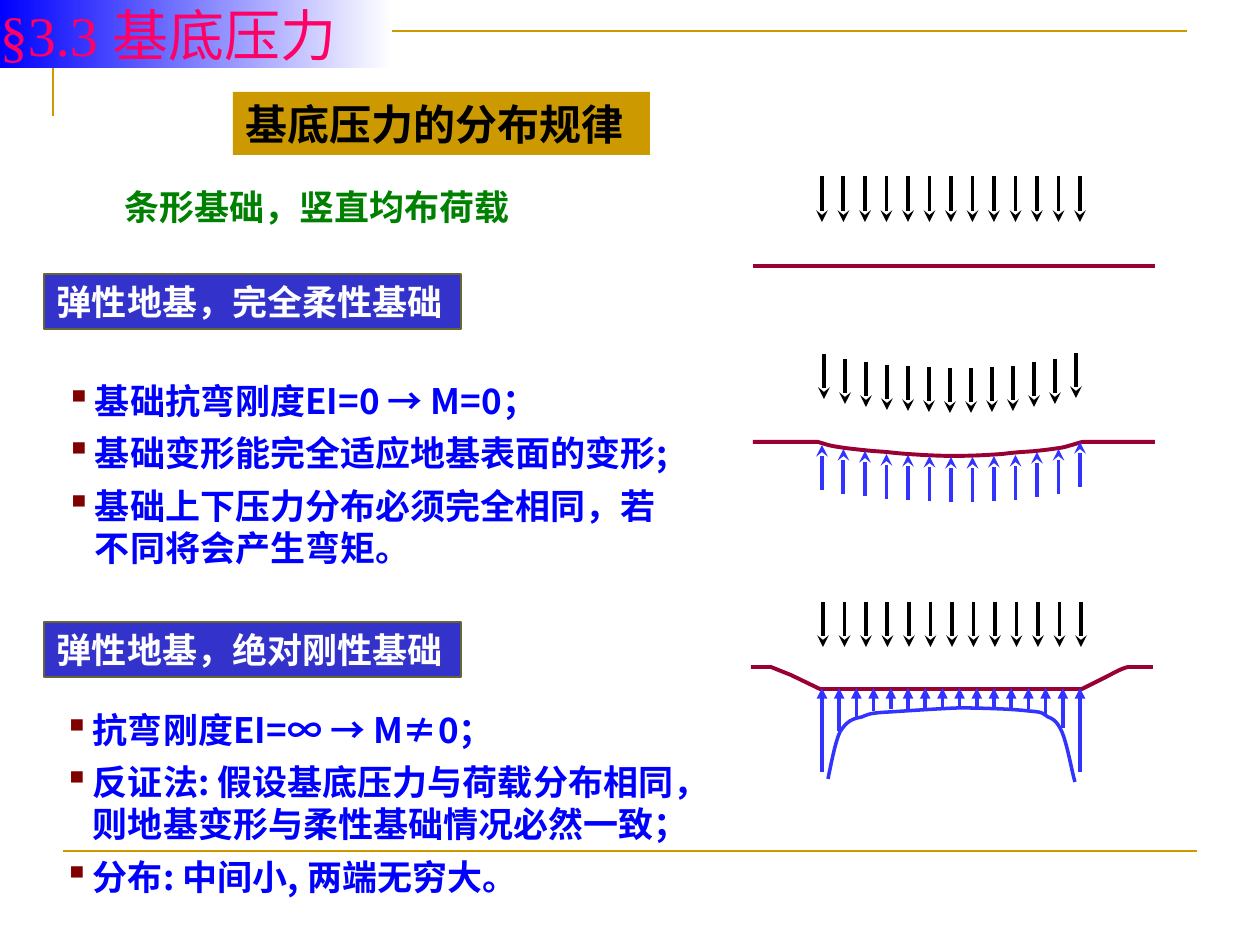
from lxml import etree
from pptx import Presentation
from pptx.dml.color import RGBColor
from pptx.enum.shapes import MSO_CONNECTOR, MSO_SHAPE
from pptx.enum.text import MSO_ANCHOR, PP_ALIGN
from pptx.oxml.ns import qn
from pptx.util import Pt

EMU_PER_PX = 914400 / 126
STRAIGHT = MSO_CONNECTOR.STRAIGHT
RECT = MSO_SHAPE.RECTANGLE
LEFT, CENTER = PP_ALIGN.LEFT, PP_ALIGN.CENTER
MIDDLE, TOP = MSO_ANCHOR.MIDDLE, MSO_ANCHOR.TOP

BLACK = RGBColor(0, 0, 0)
WHITE = RGBColor(255, 255, 255)
GOLD = RGBColor(0xCC, 0x99, 0x00)
INDIGO = RGBColor(0x33, 0x33, 0xCC)
OLIVE = RGBColor(0x66, 0x66, 0x33)
BLUE = RGBColor(0, 0, 255)
PRESSURE_BLUE = RGBColor(0x33, 0x33, 0xFF)
GREEN = RGBColor(0, 0x80, 0)
CRIMSON = RGBColor(0x99, 0, 0x33)
PINK = RGBColor(0xFF, 0, 0x66)

SANS = "Noto Sans CJK SC"
SANS_JP = "Noto Sans CJK JP"
SERIF = "Times New Roman"

ARROWS = 13
ARROW_LENGTH = 45
FLEXIBLE_FOUNDATION = [
    (753, 442), (818, 442), (828, 445),
    (835, 447, 852, 449, 862, 450), (872, 451, 871, 451, 886, 452),
    (901, 454, 934, 456, 953, 456), (973, 456, 989, 455, 1003, 454),
    (1017, 452, 1027, 452, 1036, 451), (1046, 450, 1053, 449, 1060, 448),
    (1066, 447, 1068, 446, 1072, 445), (1082, 442), (1155, 442)]
RIGID_FOUNDATION = [
    (751, 667), (771, 667), (791, 675), (820, 689), (1082, 689),
    (1106, 677), (1114, 673, 1120, 669, 1128, 667), (1153, 667)]
RIGID_PRESSURE = [
    (828, 779), (830, 770, 835, 742, 840, 732),
    (847, 721, 852, 719, 862, 717), (871, 713, 874, 713, 890, 712),
    (906, 711, 934, 709, 958, 708), (980, 708, 1013, 709, 1028, 711),
    (1043, 712, 1042, 713, 1048, 717), (1053, 719, 1057, 721, 1062, 732),
    (1067, 743, 1072, 772, 1075, 782)]
LOAD_TIPS = [399, 404, 407, 410, 411, 412, 413, 413, 412, 411, 407, 404, 398]
REACTION_TIPS = [445, 449, 451, 454, 455, 456, 457, 457, 456, 455, 452, 449, 442]
PRESSURE_TAILS = [772, 731, 717, 711] + [709] * 9 + [714, 728, 772]


def px(value):
    return round(value * EMU_PER_PX)


def flatten(path, steps=8):
    """Turn points and cubic segments (6-tuples) into a plain point list."""
    points = [path[0]]
    for part in path[1:]:
        if len(part) == 2:
            points.append(part)
            continue
        ends = [points[-1], part[:2], part[2:4], part[4:]]
        for i in range(1, steps + 1):
            t = i / steps
            weights = ((1 - t) ** 3, 3 * t * (1 - t) ** 2, 3 * t * t * (1 - t), t ** 3)
            points.append(tuple(sum(w * e[axis] for w, e in zip(weights, ends))
                                for axis in (0, 1)))
    return points


def add_bullet(p, indent):
    pPr = p._p.get_or_add_pPr()
    pPr.set("marL", str(px(indent)))
    pPr.set("indent", str(-px(indent)))
    color = etree.SubElement(pPr, qn("a:buClr"))
    etree.SubElement(color, qn("a:srgbClr"), val="800000")
    etree.SubElement(pPr, qn("a:buChar"), char="▪")


def write(sp, lines, size=20, color=BLACK, font=SANS, east=None, bold=True,
          align=LEFT, anchor=MIDDLE, inset=(0, 0), bullets=False, before=0):
    tf = sp.text_frame
    tf.word_wrap = True
    tf.vertical_anchor = anchor
    tf.margin_left = tf.margin_right = px(inset[0])
    tf.margin_top = tf.margin_bottom = px(inset[1])
    for i, line in enumerate(lines):
        p = tf.add_paragraph() if i else tf.paragraphs[0]
        p.alignment = align
        if i:
            p.space_before = Pt(before)
        if bullets:
            add_bullet(p, 29)
        r = p.add_run()
        r.text = line
        r.font.size, r.font.bold, r.font.name = Pt(size), bold, font
        r.font.color.rgb = color
        etree.SubElement(r._r.get_or_add_rPr(), qn("a:ea"), typeface=east or font)


class Board:
    def __init__(self, slide):
        self.shapes = slide.shapes

    def text(self, x, y, w, h, lines, **style):
        sp = self.shapes.add_textbox(px(x), px(y), px(w), px(h))
        write(sp, lines, **style)

    def box(self, x, y, w, h, line, fill=None, border=None, **style):
        """A rectangle; without a fill colour it fades from blue to white."""
        sp = self.shapes.add_shape(RECT, px(x), px(y), px(w), px(h))
        sp.shadow.inherit = False
        if fill is None:
            sp.fill.gradient()
            sp.fill.gradient_angle = 0
            for stop, color in zip(sp.fill.gradient_stops, (BLUE, WHITE)):
                stop.color.rgb = color
        else:
            sp.fill.solid()
            sp.fill.fore_color.rgb = fill
        if border is None:
            sp.line.fill.background()
        else:
            sp.line.color.rgb, sp.line.width = border, Pt(0.75)
        write(sp, [line], **style)

    def line(self, x1, y1, x2, y2, color, width=2.25, arrow=None):
        sp = self.shapes.add_connector(STRAIGHT, px(x1), px(y1), px(x2), px(y2))
        sp.line.color.rgb, sp.line.width = color, Pt(width)
        if arrow:
            etree.SubElement(sp.line._get_or_add_ln(), qn("a:tailEnd"), type=arrow)
        etree.SubElement(sp._element.spPr, qn("a:effectLst"))

    def outline(self, path, color, width=2.25):
        points = [(px(x), px(y)) for x, y in flatten(path)]
        builder = self.shapes.build_freeform(*points[0])
        builder.add_line_segments(points[1:], close=False)
        sp = builder.convert_to_shape()
        sp.shadow.inherit = False
        sp.fill.background()
        sp.line.color.rgb, sp.line.width = color, Pt(width)

    def arrows(self, first, last, tails, tips, color, width=2.25, arrow="stealth"):
        """Evenly spaced vertical arrows from first to last x."""
        step = (last - first) / (len(tips) - 1)
        for i, (tail, tip) in enumerate(zip(tails, tips)):
            x = first + i * step
            self.line(x, tail, x, tip, color, width, arrow)


def main():
    prs = Presentation()
    prs.slide_width, prs.slide_height = px(1260), px(945)
    s = Board(prs.slides.add_slide(prs.slide_layouts[6]))

    s.outline([(53, 116), (53, 31), (1187, 31)], GOLD, 1.5)
    s.line(63, 851, 1197, 851, GOLD, 1.5)

    bullets = dict(color=BLUE, font=SANS_JP, anchor=TOP, bullets=True, before=6)
    s.text(64, 702, 645, 207, [
        "抗弯刚度EI=∞ → M≠0；",
        "反证法: 假设基底压力与荷载分布相同，则地基变形与柔性基础情况必然一致；",
        "分布: 中间小, 两端无穷大。"], inset=(0, 6), **bullets)
    s.text(53, 373, 651, 207, [
        "基础抗弯刚度EI=0 → M=0；",
        "基础变形能完全适应地基表面的变形;",
        "基础上下压力分布必须完全相同，若不同将会产生弯矩。"],
        inset=(13, 6), **bullets)
    s.box(233, 92, 417, 63, "基底压力的分布规律", GOLD, size=24, inset=(13, 6))
    s.text(84, 185, 466, 43, ["条形基础，竖直均布荷载"], color=GREEN, align=CENTER)
    for y, heading in ((274, "弹性地基，完全柔性基础"), (622, "弹性地基，绝对刚性基础")):
        s.box(44, y, 417, 55, heading, INDIGO, OLIVE, color=WHITE, inset=(13, 6))

    s.line(753, 266, 1155, 266, CRIMSON)
    s.arrows(822, 1080, [176] * ARROWS, [222] * ARROWS, BLACK)

    s.arrows(824, 1076, [y - ARROW_LENGTH for y in LOAD_TIPS], LOAD_TIPS, BLACK)
    s.outline(FLEXIBLE_FOUNDATION, CRIMSON)
    s.arrows(822, 1080, [y + ARROW_LENGTH for y in REACTION_TIPS], REACTION_TIPS,
             PRESSURE_BLUE)

    s.outline(RIGID_FOUNDATION, CRIMSON)
    s.arrows(823, 1081, [602] * ARROWS, [647] * ARROWS, BLACK)
    s.outline(RIGID_PRESSURE, PRESSURE_BLUE, 2)
    s.arrows(822, 1080, PRESSURE_TAILS, [688] * len(PRESSURE_TAILS), PRESSURE_BLUE,
             2, "triangle")

    s.box(0, 0, 392, 68, "§3.3 基底压力", size=32, color=PINK, font=SERIF, east=SANS,
          bold=False)
    prs.save("out.pptx")


if __name__ == "__main__":
    main()
